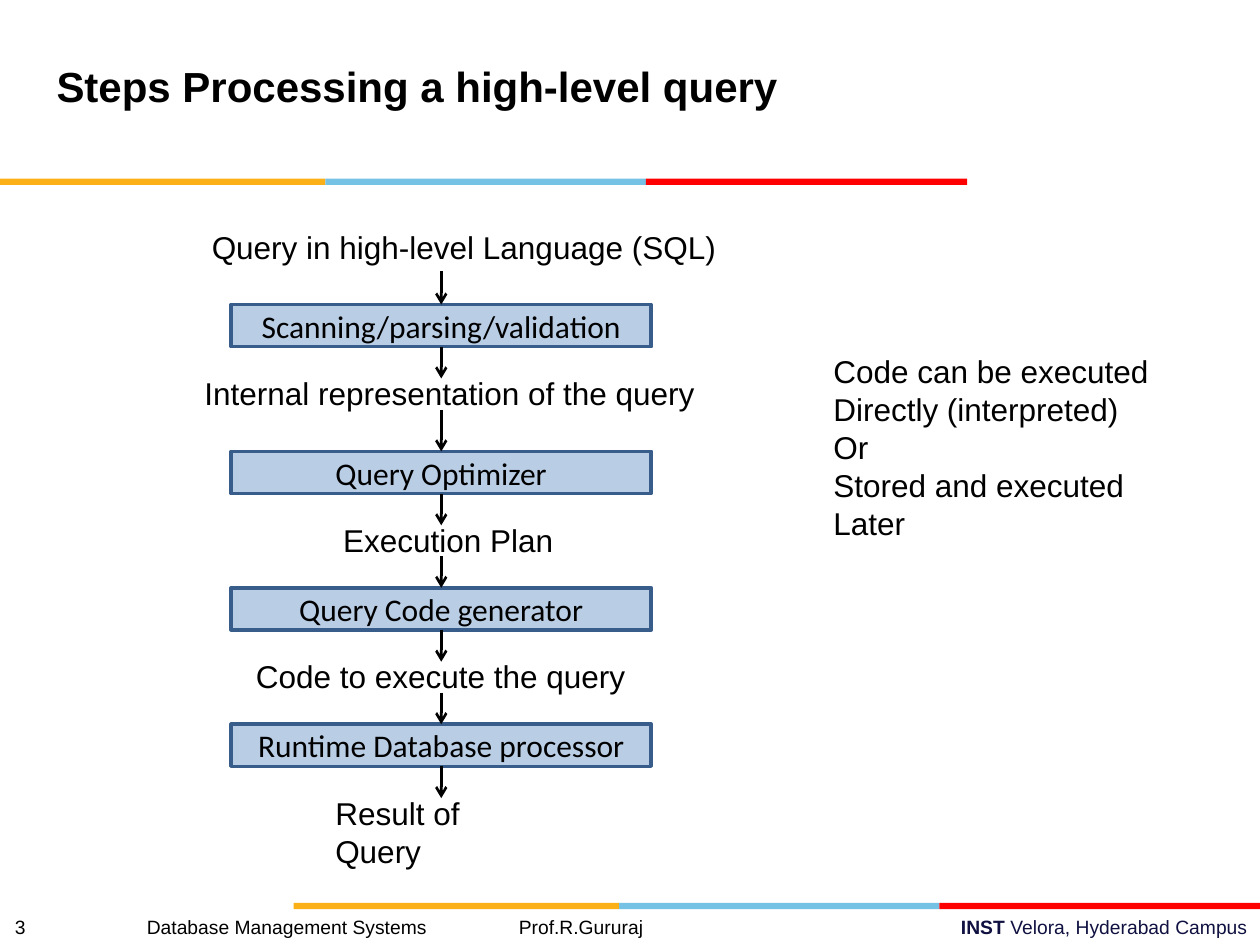
from lxml import etree
from pptx import Presentation
from pptx import util as u
from pptx.dml.color import RGBColor
from pptx.enum import shapes, text
from pptx.oxml.ns import qn

BLACK = "000000"


def color(hex_string):
    return RGBColor.from_string(hex_string)


def add_bar(slide, left, top, width, height, fill):
    bar = slide.shapes.add_shape(shapes.MSO_SHAPE.RECTANGLE, u.Cm(left), u.Cm(top),
                                 u.Cm(width), u.Cm(height))
    bar.shadow.inherit = False
    bar.fill.solid()
    bar.fill.fore_color.rgb = color(fill)
    bar.line.fill.background()
    return bar


def style(paragraph, size, font="Arial", bold=False, hex_string=BLACK):
    paragraph.font.name = font
    paragraph.font.size = u.Pt(size)
    paragraph.font.bold = bold
    paragraph.font.color.rgb = color(hex_string)


def add_text(slide, left, top, width, height, lines, size=18, bold=False):
    box = slide.shapes.add_textbox(u.Cm(left), u.Cm(top), u.Cm(width), u.Cm(height))
    box.text_frame.word_wrap = False
    box.text_frame.text = "\n".join(lines)
    for paragraph in box.text_frame.paragraphs:
        style(paragraph, size, bold=bold)
    return box


def add_arrow(slide, x, top, bottom):
    arrow = slide.shapes.add_connector(shapes.MSO_CONNECTOR.STRAIGHT, u.Cm(x), u.Cm(top),
                                       u.Cm(x), u.Cm(bottom))
    arrow.line.color.rgb = color(BLACK)
    arrow.line.width = u.Pt(1.5)
    etree.SubElement(arrow.line._get_or_add_ln(), qn("a:tailEnd"), type="arrow")
    etree.SubElement(arrow._element.spPr, qn("a:effectLst"))


def add_stage(slide, left, top, width, height, name):
    stage = add_bar(slide, left, top, width, height, "B9CDE5")
    stage.line.color.rgb = color("385D8A")
    stage.line.width = u.Pt(2)
    frame = stage.text_frame
    frame.word_wrap = True
    frame.vertical_anchor = text.MSO_ANCHOR.MIDDLE
    frame.text = name
    frame.paragraphs[0].alignment = text.PP_ALIGN.CENTER
    style(frame.paragraphs[0], 18, font="Calibri")


def add_stripe(slide, left, top):
    """Three coloured segments side by side."""
    for width, fill in ((6.56, "FCB017"), (6.46, "76C2E5"), (6.48, "FF0000")):
        add_bar(slide, left, top, width, 0.13, fill)
        left += width


def add_flow(slide, left, top, width):
    """Stages joined by arrows, with the data passed on between them."""
    height, center = 0.85, left + width / 2
    # Input of the first stage
    add_text(slide, left - 0.64, top, 10.67, 1.02, ["Query in high-level Language (SQL)"])
    # Stage, its top, length of the arrow into it, its output, output left and width
    steps = (
        ("Scanning/parsing/validation", 1.67, 0.68,
         "Internal representation of the query", -0.79, 10.39),
        ("Query Optimizer", 4.63, 0.84, "Execution Plan", 2.01, 4.75),
        ("Query Code generator", 7.38, 0.64, "Code to execute the query", 0.25, 7.95),
        ("Runtime Database processor", 10.13, 0.64, "Result of Query", 1.85, 4.9),
    )
    for name, offset, arrow_length, output, output_left, output_width in steps:
        stage_top = top + offset
        bottom = stage_top + height
        add_stage(slide, left, stage_top, width, height, name)
        add_arrow(slide, center, stage_top - arrow_length, stage_top)
        add_arrow(slide, center, bottom, bottom + 0.64)
        add_text(slide, left + output_left, bottom + 0.43, output_width, 1.02, [output])


def add_footer(slide, left, top, width, height):
    # Page number, course and lecturer, set on tab stops
    notes = add_text(slide, left + 0.05, top, 13.18, height,
                     ["3\tDatabase Management Systems\tProf.R.Gururaj"], size=11)
    properties = notes.text_frame.paragraphs[0]._p.get_or_add_pPr()
    stops = etree.Element(qn("a:tabLst"))
    for position in (2.66, 10.16):
        etree.SubElement(stops, qn("a:tab"), pos=str(u.Cm(position)), algn="l")
    properties.insert(0, stops)

    # Campus name
    campus = add_text(slide, left + width - 16.3, top, 16.3, height, [""])
    campus.text_frame.word_wrap = True
    paragraph = campus.text_frame.paragraphs[0]
    paragraph.alignment = text.PP_ALIGN.RIGHT
    style(paragraph, 11, hex_string="101141")
    for words, bold in (("INST ", True), ("Velora, Hyderabad Campus", False)):
        run = paragraph.add_run()
        run.text = words
        run.font.name = "Arial"
        run.font.size = u.Pt(11)
        run.font.bold = bold
        run.font.color.rgb = color("101141")


def main():
    presentation = Presentation()
    presentation.slide_width = u.Cm(25.4)
    presentation.slide_height = u.Cm(19.05)
    slide = presentation.slides.add_slide(presentation.slide_layouts[6])

    # Header and footer stripes
    add_stripe(slide, 0, 3.6)
    add_stripe(slide, 5.92, 18.2)

    # Title
    add_text(slide, 0.89, 1.1, 15.04, 1.27, ["Steps Processing a high-level query"],
             size=24, bold=True)

    # Flow chart with its remark
    add_flow(slide, 4.66, 4.47, 8.47)
    add_text(slide, 16.55, 6.98, 7.98, 3.3,
             ["Code can be executed", "Directly (interpreted)", "Or",
              "Stored and executed Later"])

    add_footer(slide, 0, 18.32, 25.4, 0.73)
    presentation.save("out.pptx")


if __name__ == "__main__":
    main()
